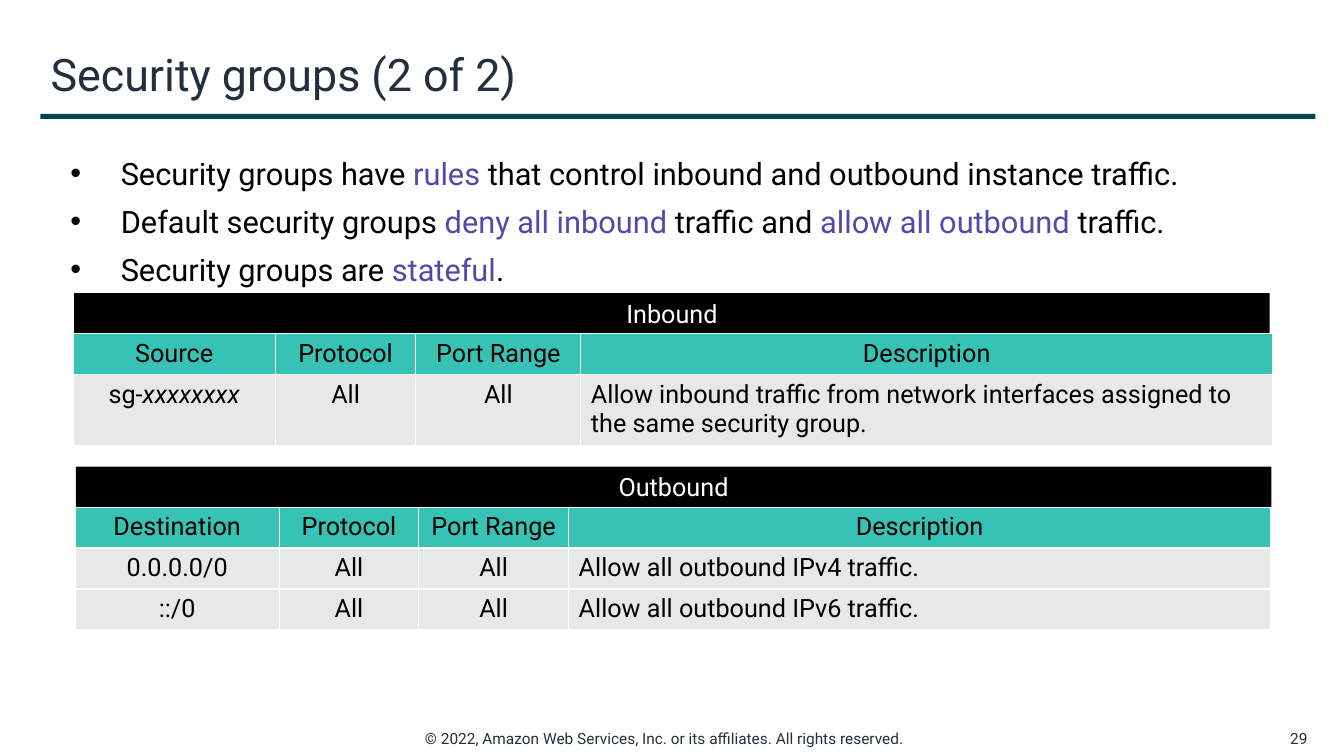
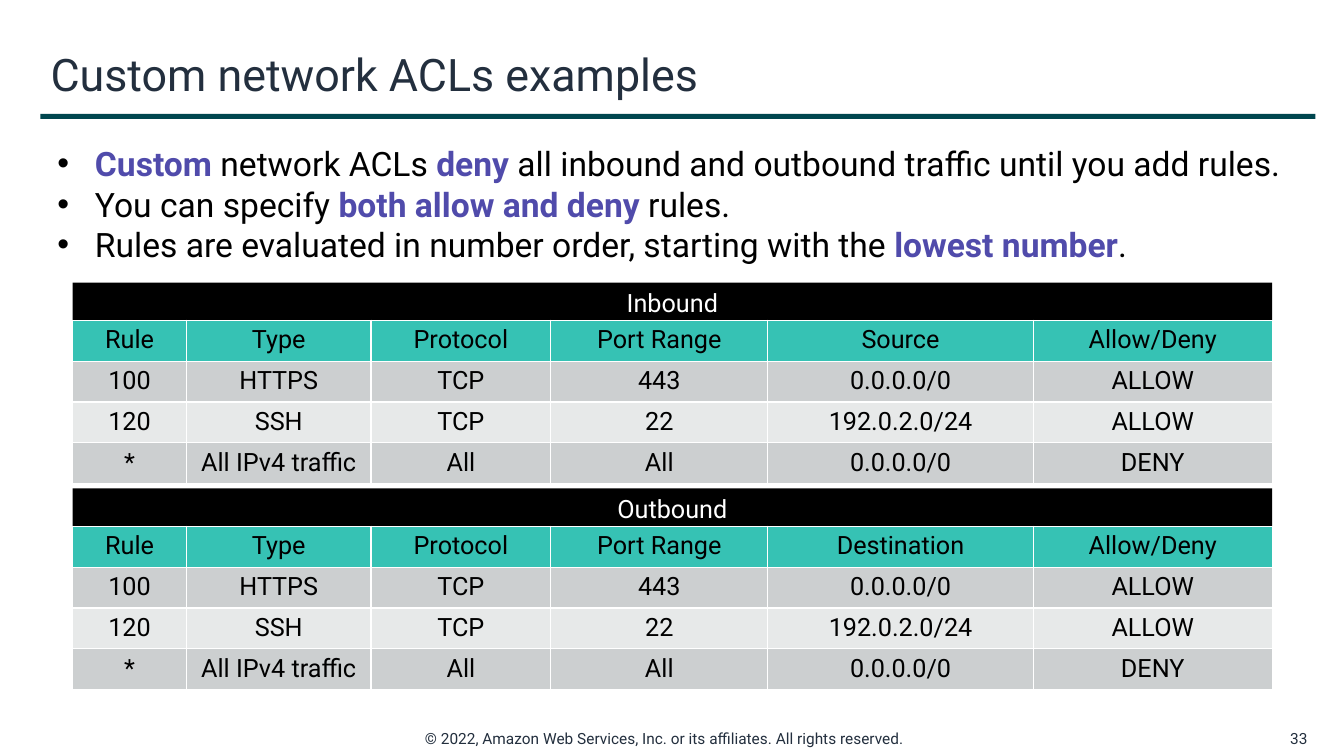
from lxml import etree
from pptx import Presentation
from pptx.dml.color import RGBColor
from pptx.enum.shapes import MSO_SHAPE
from pptx.enum.text import MSO_ANCHOR, MSO_AUTO_SIZE, PP_ALIGN
from pptx.oxml.ns import qn
from pptx.util import Cm, Pt

RECT = MSO_SHAPE.RECTANGLE
MID, TOP = MSO_ANCHOR.MIDDLE, MSO_ANCHOR.TOP
FIXED = MSO_AUTO_SIZE.NONE
LEFT, MIDDLE, RIGHT = PP_ALIGN.LEFT, PP_ALIGN.CENTER, PP_ALIGN.RIGHT

# Shared look
FONT = "Roboto"
INK, BLACK, WHITE = "232F3E", "000000", "FFFFFF"
DEEP, TEAL, ACCENT = "00464F", "36C2B4", "504BAB"
PALE, GREY = "E7E9E9", "CCCFD0"
ROW = 1.03
BAR = 1.02
NOTICE = "© 2022, Amazon Web Services, Inc. or its affiliates. All rights reserved."


def paint(thing, color):
    """Give a fill or font a hex colour."""
    if hasattr(thing, "solid"):
        thing.solid()
        thing.fore_color.rgb = RGBColor.from_string(color)
    else:
        thing.color.rgb = RGBColor.from_string(color)


def write(par, parts, size, color, align=LEFT, stress=None, bold=False, slant=False):
    """Add runs to a paragraph; every second part is stressed."""
    par.alignment = align
    for i, part in enumerate(parts):
        if not part:
            continue
        run = par.add_run()
        run.text = part
        font = run.font
        font.name, font.size = FONT, Pt(size)
        odd = i % 2 == 1
        font.bold, font.italic = odd and bold, odd and slant
        paint(font, stress if odd and stress else color)


# Content: each table has a bar box (left, top, width), a table corner,
# column widths, row heights and rows
wide = [2.87, 4.65, 4.53, 5.47, 6.69, 6.02]
rules = [
    ["100", "HTTPS", "TCP", "443", "0.0.0.0/0", "ALLOW"],
    ["120", "SSH", "TCP", "22", "192.0.2.0/24", "ALLOW"],
    ["*", "All IPv4 traffic", "All", "All", "0.0.0.0/0", "DENY"],
]
acls = [
    dict(name=name, bar=(1.83, top, 30.23), at=(1.83, top + 0.95),
         cols=wide, rows=[ROW] * 4,
         cells=[["Rule", "Type", "Protocol", "Port Range", peer, "Allow/Deny"]] + rules)
    for name, top, peer in [("Inbound", 7.12, "Source"),
                            ("Outbound", 12.31, "Destination")]
]
groups = [
    dict(name="Inbound", bar=(1.87, 7.39, 30.13), at=(1.84, 8.41),
         cols=[5.1, 3.54, 4.16, 17.43], rows=[ROW, 1.79],
         cells=[["Source", "Protocol", "Port Range", "Description"],
                [("sg-", "xxxxxxxx"), "All", "All",
                 "Allow inbound traffic from network interfaces assigned to "
                 "the same security group."]]),
    dict(name="Outbound", bar=(1.91, 11.76, 30.13), at=(1.89, 12.78),
         cols=[5.15, 3.51, 3.78, 17.69], rows=[ROW] * 3,
         cells=[["Destination", "Protocol", "Port Range", "Description"],
                ["0.0.0.0/0", "All", "All", "Allow all outbound IPv4 traffic."],
                ["::/0", "All", "All", "Allow all outbound IPv6 traffic."]]),
]
pages = [
    dict(num="29", title="Security groups (2 of 2)", box=(1.52, 3.76, 30.81, 3.66),
         size=22, indent=1.27, after=8, bold=False, tints=[PALE], prose=3,
         tables=groups, points=[
             ["Security groups have ", "rules ",
              "that control inbound and outbound instance traffic."],
             ["Default security groups ", "deny all inbound ", "traffic and ",
              "allow all outbound ", "traffic."],
             ["Security groups are ", "stateful", "."]]),
    dict(num="33", title="Custom network ACLs examples", box=(1.19, 3.48, 31.5, 3.33),
         size=24, indent=0.95, after=0, bold=True, tints=[GREY, PALE], prose=None,
         tables=acls, points=[
             ["", "Custom", " network ACLs ", "deny ",
              "all inbound and outbound traffic until you add rules."],
             ["You can specify ", "both allow and deny ", "rules."],
             ["Rules are evaluated in number order, starting with the ",
              "lowest number", "."]]),
]

deck = Presentation()
deck.slide_width, deck.slide_height = Cm(33.87), Cm(19.05)

for page in pages:
    slide = deck.slides.add_slide(deck.slide_layouts[1])
    shapes = slide.shapes

    # Title and list
    title, body = shapes.title, slide.placeholders[1]
    for holder, box, anchor in [(title, (1.02, 0.84, 32.13, 2.03), MID),
                                (body, page["box"], TOP)]:
        holder.left, holder.top, holder.width, holder.height = map(Cm, box)
        frame = holder.text_frame
        frame.auto_size, frame.vertical_anchor = FIXED, anchor
        frame.word_wrap = True
    write(title.text_frame.paragraphs[0], [page["title"]], 32, INK)
    for i, parts in enumerate(page["points"]):
        frame = body.text_frame
        par = frame.add_paragraph() if i else frame.paragraphs[0]
        props = par._p.get_or_add_pPr()
        props.set("marL", str(Cm(page["indent"])))
        props.set("indent", str(-Cm(page["indent"])))
        tone = etree.SubElement(props, qn("a:buClr"))
        etree.SubElement(tone, qn("a:srgbClr"), val=BLACK)
        etree.SubElement(props, qn("a:buChar"), char="•")
        par.space_before, par.space_after = Pt(0), Pt(page["after"])
        write(par, parts, page["size"], BLACK, stress=ACCENT, bold=page["bold"])

    # Title rule and table bars
    bars = [(1.02, 2.87, 32.13, 0.13, DEEP, "")]
    bars += [(*tab["bar"], BAR, BLACK, tab["name"]) for tab in page["tables"]]
    for *box, color, label in bars:
        bar = shapes.add_shape(RECT, *map(Cm, box))
        bar.shadow.inherit = False
        bar.line.fill.background()
        paint(bar.fill, color)
        if label:
            write(bar.text_frame.paragraphs[0], [label], 18, WHITE, MIDDLE)

    # Footer and page number
    for text, left, width, align in [(NOTICE, 10.46, 12.93, LEFT),
                                     (page["num"], 31.85, 1.35, RIGHT)]:
        note = shapes.add_textbox(Cm(left), Cm(18.24), Cm(width), Cm(0.74))
        note.text_frame.vertical_anchor = MID
        note.text_frame.word_wrap = True
        write(note.text_frame.paragraphs[0], [text], 11, INK, align)

    # Tables
    for tab in page["tables"]:
        cols, rows = tab["cols"], tab["rows"]
        grid = shapes.add_table(len(rows), len(cols), *map(Cm, tab["at"]),
                                Cm(sum(cols)), Cm(sum(rows))).table
        grid.first_row = grid.horz_banding = False
        for col, width in zip(grid.columns, cols):
            col.width = Cm(width)
        for r, (line, high) in enumerate(zip(tab["cells"], rows)):
            grid.rows[r].height = Cm(high)
            tint = page["tints"][(r - 1) % len(page["tints"])] if r else TEAL
            for c, text in enumerate(line):
                cell = grid.cell(r, c)
                props = cell._tc.get_or_add_tcPr()
                for side in "LRTB":
                    edge = etree.SubElement(props, qn("a:ln" + side), w=str(Pt(1)))
                    fill = etree.SubElement(edge, qn("a:solidFill"))
                    etree.SubElement(fill, qn("a:srgbClr"), val=WHITE)
                paint(cell.fill, tint)
                parts = [text] if isinstance(text, str) else text
                align = LEFT if r and c == page["prose"] else MIDDLE
                write(cell.text_frame.paragraphs[0], parts, 18, BLACK, align, slant=True)

deck.save("out.pptx")
